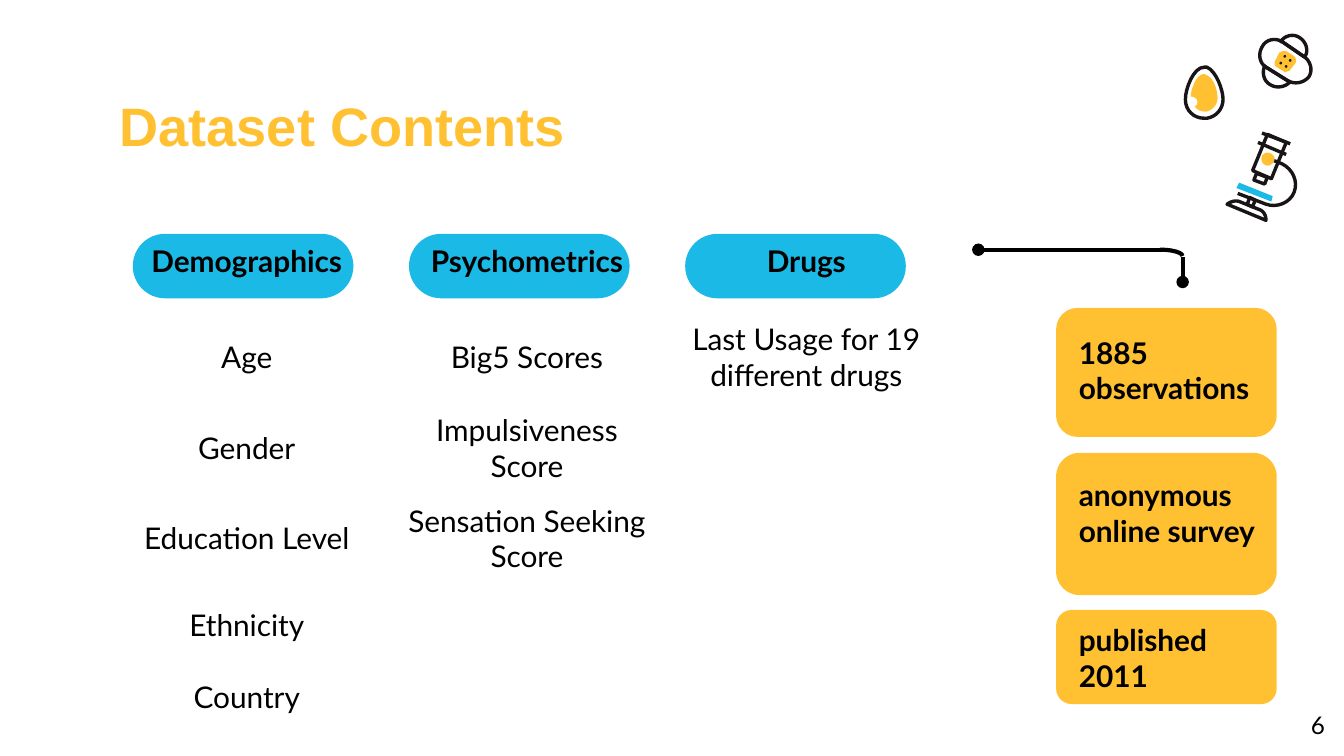
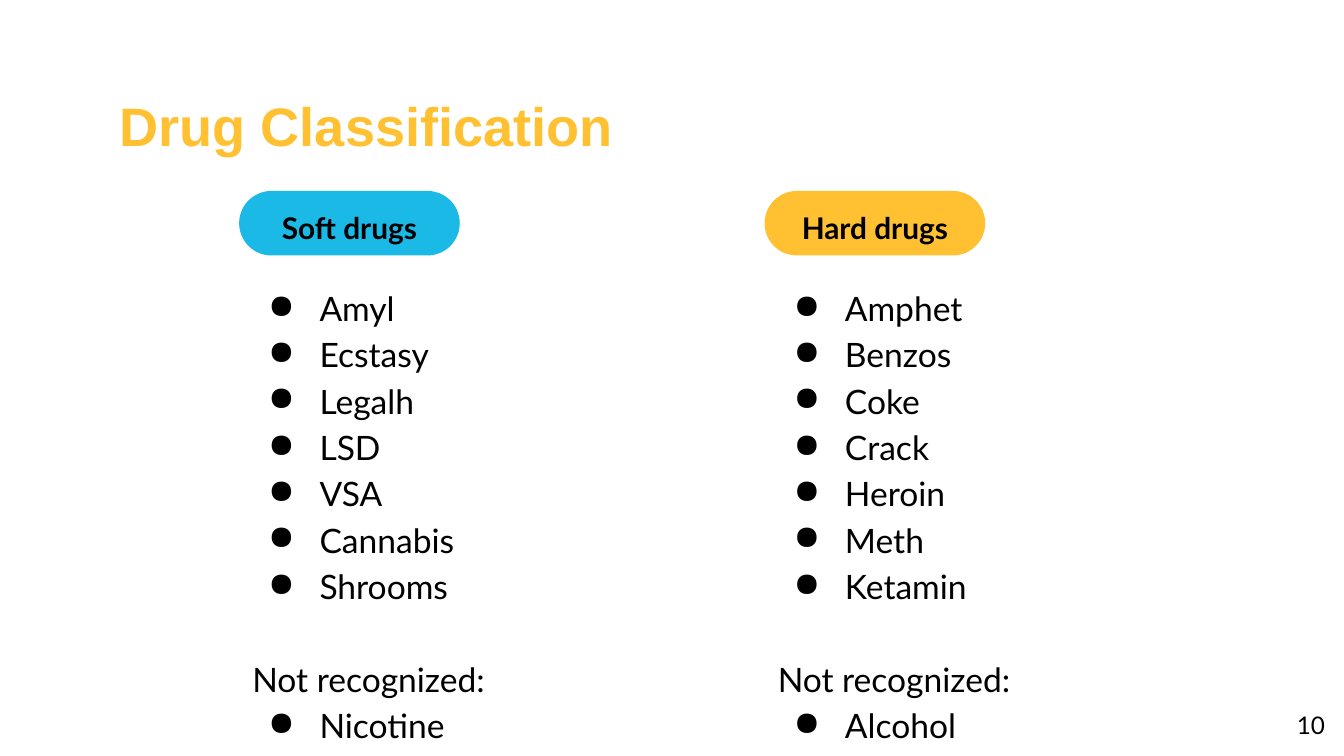
"""Build two slides on a drug survey dataset: its contents and the drug classes."""
from lxml import etree
from pptx import Presentation
from pptx.dml.color import RGBColor
from pptx.enum.shapes import MSO_CONNECTOR, MSO_SHAPE
from pptx.enum.text import MSO_ANCHOR, PP_ALIGN
from pptx.oxml.ns import qn
from pptx.util import Cm, Pt

STRAIGHT = MSO_CONNECTOR.STRAIGHT
PILL, CARD = MSO_SHAPE.ROUNDED_RECTANGLE, MSO_SHAPE.FLOWCHART_ALTERNATE_PROCESS
ARC, DOT = MSO_SHAPE.ARC, MSO_SHAPE.OVAL
TOP, MIDDLE = MSO_ANCHOR.TOP, MSO_ANCHOR.MIDDLE
LEFT, CENTER, RIGHT = PP_ALIGN.LEFT, PP_ALIGN.CENTER, PP_ALIGN.RIGHT

YELLOW, BLUE, BLACK, INK = "FFC132", "1BB9E6", "000000", "191516"
BODY_FONT, TITLE_FONT = "Lato", "Arial"
PILL_SIZE = (4.17, 1.22)
NO_GRID_STYLE = "{2D5ABB26-0587-4C30-8999-92F81FD0307C}"

CONTENTS = [
    ("Demographics", ["Age", "Gender", "Education Level", "Ethnicity", "Country"]),
    ("Psychometrics", ["Big5 Scores", "Impulsiveness Score", "Sensation Seeking Score"]),
    ("Drugs", ["Last Usage for 19 different drugs"]),
]
COLUMN_WIDTHS = [5.31, 5.28, 5.28]
ROW_HEIGHTS = [1.47, 1.57, 1.57, 1.57, 1.57, 0.46]
FACTS = [
    ("1885 observations", 5.82, 2.44, 6.07),
    ("anonymous online survey", 8.56, 2.69, 8.76),
    ("published 2011", 11.53, 1.78, 11.51),
]
NOT_RECOGNIZED = "Not recognized:"
CLASSES = [
    ("Soft drugs", BLUE, 4.52,
     ["Amyl", "Ecstasy", "Legalh", "LSD", "VSA", "Cannabis", "Shrooms",
      NOT_RECOGNIZED, "Nicotine"]),
    ("Hard drugs", YELLOW, 14.45,
     ["Amphet", "Benzos", "Coke", "Crack", "Heroin", "Meth", "Ketamin",
      NOT_RECOGNIZED, "Alcohol"]),
]

ICON_UNITS_PER_CM = 100 / 2.54
ICON_FINENESS = 100
CURVE_STEPS = 8
BANDAGE = [
    (None, "M 974 57 C 970 62 963 63 958 60 L 942 50 C 937 47 936 40 939 35 "
           "C 942 29 949 28 954 31 L 970 42 C 975 45 977 52 974 57 Z"),
    (YELLOW, "M 955 38 C 954 38 953 39 952 39 L 949 45 C 948 46 948 49 950 50 L 955 53 "
             "C 956 54 957 54 958 53 C 959 53 960 53 960 52 L 964 47 "
             "C 965 45 964 43 963 42 L 957 38 C 956 38 955 38 955 38 Z"),
    (None, "M 954 31 L 970 42 C 971 42 971 42 971 42 C 974 38 972 31 967 28 "
           "C 963 25 956 26 953 31 C 953 31 954 31 954 31 Z"),
    (None, "M 958 60 L 942 50 C 942 50 941 49 941 49 C 939 54 940 60 945 63 "
           "C 950 66 956 65 960 61 Z"),
]
BANDAGE_DOTS = [(953, 47), (956, 42), (957, 49.5), (960, 45)]
MICROSCOPE = [
    (None, "M 943 100 L 957 106 L 946 133 L 932 127 Z"),
    (None, "M 935 129 L 943 132 L 941 137 L 933 134 Z"),
    (None, "M 936 106 L 957 115"),
    (None, "M 939 99 L 960 107"),
    (None, "M 944 118 L 954 122 C 962 126 966 135 963 143 C 960 151 950 155 942 152 L 921 144"),
    (YELLOW, "M 945 114 C 943 113 940 114 939 116 C 938 119 939 122 942 123 "
             "C 944 124 947 122 948 120 C 949 118 948 115 945 114 Z"),
    (BLUE, "M 922 136 L 920 140 L 946 150 L 947 146 Z"),
    (None, "M 937 156 L 922 150 C 919 149 916 150 913 152 L 942 164 C 942 160 940 157 937 156 Z"),
    (None, "M 930 147 L 934 149 L 932 154 L 928 152 Z"),
]
EGG = [
    (YELLOW, "M 896 55 C 890 55 886 67 886 72 C 886 72 887 72 887 72 C 889 72 891 74 891 76 "
             "C 891 78 890 79 889 79 C 890 81 893 83 896 83 C 897 83 897 83 898 83 "
             "C 902 82 906 78 906 73 C 906 67 903 58 898 56 C 897 56 897 55 896 55 Z"),
    (None, "M 910 74 C 910 81 905 87 898 88 C 898 88 897 88 896 88 C 888 88 882 82 882 74 "
           "C 882 66 888 50 896 50 C 897 50 898 50 898 50 C 905 53 910 67 910 74 Z"),
]


def rgb(color):
    return RGBColor.from_string(color)


def paint(shape, fill=None, line=None, weight=1.8):
    shape.shadow.inherit = False
    if fill:
        shape.fill.solid()
        shape.fill.fore_color.rgb = rgb(fill)
    else:
        shape.fill.background()
    if line:
        shape.line.color.rgb = rgb(line)
        shape.line.width = Pt(weight)
    else:
        shape.line.fill.background()


def add_block(slide, kind, left, top, width, height, **look):
    block = slide.shapes.add_shape(kind, Cm(left), Cm(top), Cm(width), Cm(height))
    paint(block, **look)
    return block


def add_pill(slide, left, top, color):
    add_block(slide, PILL, left, top, *PILL_SIZE, fill=color).adjustments[0] = 0.5


def style(paragraph, size=16, bold=False, color=BLACK, font=BODY_FONT, align=LEFT):
    paragraph.alignment = align
    paragraph.font.name = font
    paragraph.font.size = Pt(size)
    paragraph.font.bold = bold
    paragraph.font.color.rgb = rgb(color)


def add_text(slide, lines, left, top, width, height, **look):
    frame = slide.shapes.add_textbox(Cm(left), Cm(top), Cm(width), Cm(height)).text_frame
    frame.word_wrap = True
    frame.vertical_anchor = TOP
    frame.margin_left = frame.margin_right = frame.margin_top = frame.margin_bottom = Cm(0.25)
    frame.text = "\n".join(lines)
    for paragraph in frame.paragraphs:
        style(paragraph, **look)
    return frame.paragraphs


def add_bullet(paragraph):
    props = paragraph._p.get_or_add_pPr()
    props.set("marL", str(Cm(1.27)))
    props.set("indent", str(-Cm(0.97)))
    color = etree.Element(qn("a:buClr"))
    etree.SubElement(color, qn("a:srgbClr"), val=BLACK)
    mark = etree.Element(qn("a:buChar"), char="●")
    props.find(qn("a:defRPr")).addprevious(color)
    color.addnext(mark)


def add_dotted_line(slide, start, end):
    ends = [Cm(value) for value in (*start, *end)]
    line = slide.shapes.add_connector(STRAIGHT, *ends)
    line.line.color.rgb = rgb(BLACK)
    line.line.width = Pt(2.25)
    props = line._element.spPr
    etree.SubElement(props.find(qn("a:ln")), qn("a:headEnd"), type="oval")
    etree.SubElement(props, qn("a:effectLst"))


def curve_points(p0, p1, p2, p3):
    for step in range(1, CURVE_STEPS + 1):
        t = step / CURVE_STEPS
        u = 1 - t
        yield tuple(u**3 * a + 3 * u * u * t * b + 3 * u * t * t * c + t**3 * d
                    for a, b, c, d in zip(p0, p1, p2, p3))


def outline_points(outline):
    tokens = iter(outline.split())
    points = []
    for command in tokens:
        if command == "Z":
            break
        count = 3 if command == "C" else 1
        stops = [(float(next(tokens)), float(next(tokens))) for _ in range(count)]
        points += curve_points(points[-1], *stops) if command == "C" else stops
    return [(x * ICON_FINENESS, y * ICON_FINENESS) for x, y in points]


def add_icon(slide, parts):
    scale = Cm(1) / ICON_UNITS_PER_CM / ICON_FINENESS
    for fill, outline in parts:
        start, *rest = outline_points(outline)
        pen = slide.shapes.build_freeform(*start, scale=scale)
        pen.add_line_segments(rest, close=outline.endswith("Z"))
        paint(pen.convert_to_shape(), fill=fill, line=None if fill else INK)


def add_contents_table(slide):
    table = slide.shapes.add_table(len(ROW_HEIGHTS), len(CONTENTS), Cm(2.01), Cm(4.42),
                                   Cm(sum(COLUMN_WIDTHS)), Cm(sum(ROW_HEIGHTS))).table
    table.first_row = table.horz_banding = False
    table._tbl.tblPr.find(qn("a:tableStyleId")).text = NO_GRID_STYLE
    for row, height in zip(table.rows, ROW_HEIGHTS):
        row.height = Cm(height)
    for col, (heading, items) in enumerate(CONTENTS):
        table.columns[col].width = Cm(COLUMN_WIDTHS[col])
        for row in range(len(ROW_HEIGHTS)):
            cell = table.cell(row, col)
            cell.fill.background()
            cell.margin_left = cell.margin_right = Cm(0.25)
            cell.margin_top = cell.margin_bottom = Cm(0.18)
            cell.vertical_anchor = MIDDLE if row else TOP
            if row <= len(items):
                cell.text = items[row - 1] if row else heading
                style(cell.text_frame.paragraphs[0], bold=row == 0, align=CENTER)


def new_slide(deck, title, number):
    slide = deck.slides.add_slide(deck.slide_layouts[6])
    add_text(slide, [title], 2.01, 1.5, 21.41, 1.6,
             size=29, bold=True, color=YELLOW, font=TITLE_FONT)
    add_text(slide, [str(number)], 23.77, 13.18, 1.52, 1.09, size=13, align=RIGHT)
    return slide


def build_contents(deck):
    slide = new_slide(deck, "Dataset Contents", 6)
    for col in range(len(CONTENTS)):
        add_pill(slide, 2.51 + 5.22 * col, 4.42, BLUE)
    add_contents_table(slide)
    for icon in (BANDAGE, MICROSCOPE, EGG):
        add_icon(slide, icon)
    for x, y in BANDAGE_DOTS:
        add_block(slide, DOT, (x - 1) / ICON_UNITS_PER_CM, (y - 1) / ICON_UNITS_PER_CM,
                  0.05, 0.05, fill=INK)
    add_dotted_line(slide, (22.35, 5.33), (22.35, 4.85))
    add_dotted_line(slide, (18.49, 4.72), (21.92, 4.72))
    add_block(slide, ARC, 21.49, 4.72, 0.86, 0.24, line=BLACK, weight=2.25)
    for fact, top, height, text_top in FACTS:
        add_block(slide, CARD, 19.96, top, 4.17, height, fill=YELLOW)
        add_text(slide, [fact], 20.14, text_top, 3.84, 1.14, bold=True)


def build_classes(deck):
    slide = new_slide(deck, "Drug Classification", 10)
    for heading, color, left, drugs in CLASSES:
        add_pill(slide, left, 3.61, color)
        label = add_text(slide, [heading], left, 3.61, *PILL_SIZE, bold=True, align=CENTER)[0]
        label.line_spacing = 1.15
        label.space_after = Pt(16)
        for paragraph in add_text(slide, drugs, left, 5.08, 9.37, 8.31, size=18):
            paragraph.line_spacing = 1.15
            if paragraph.text == NOT_RECOGNIZED:
                paragraph.space_before = Pt(24.8)
            else:
                add_bullet(paragraph)


def main():
    deck = Presentation()
    deck.slide_width, deck.slide_height = Cm(25.4), Cm(14.29)
    build_contents(deck)
    build_classes(deck)
    deck.save("out.pptx")


if __name__ == "__main__":
    main()
